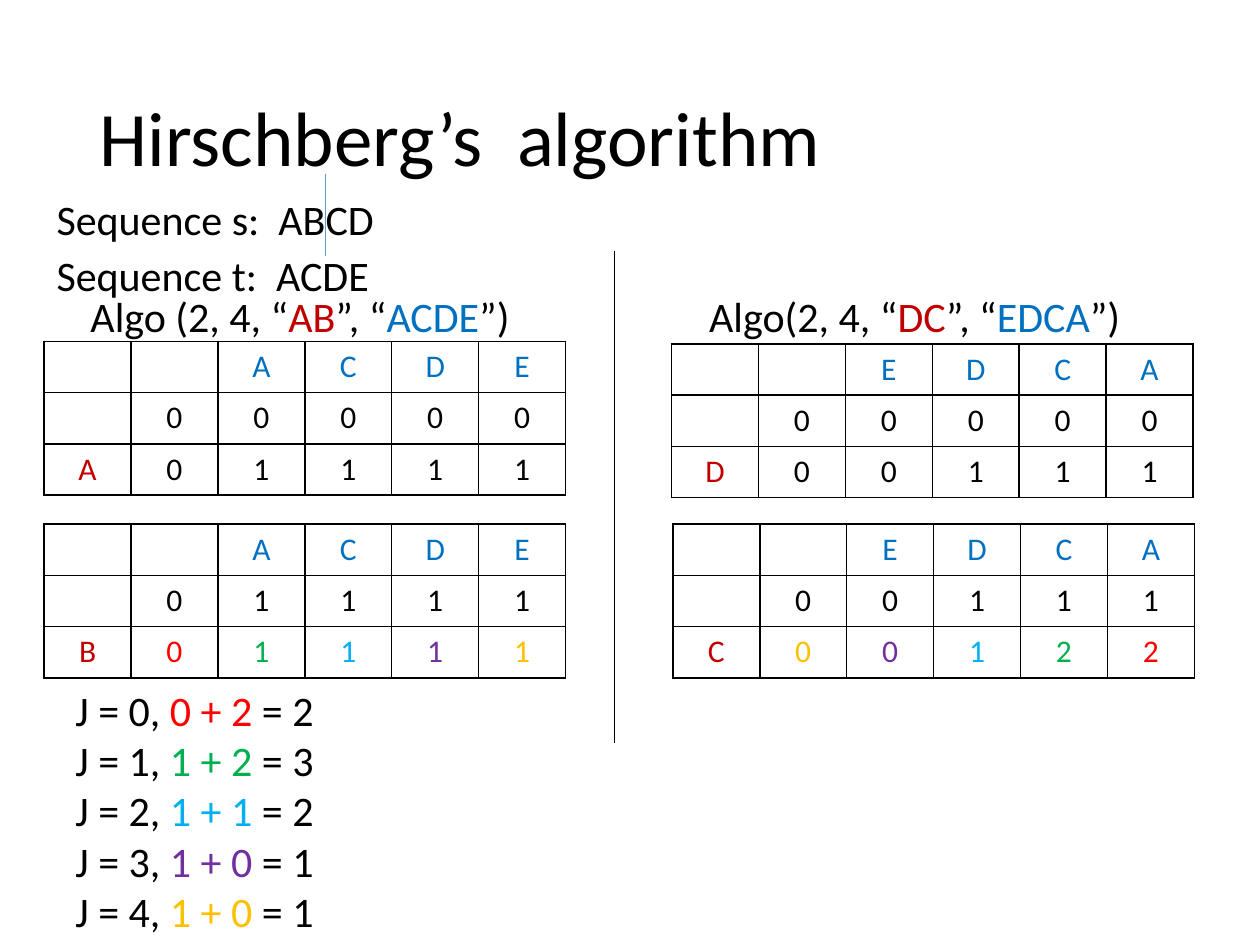
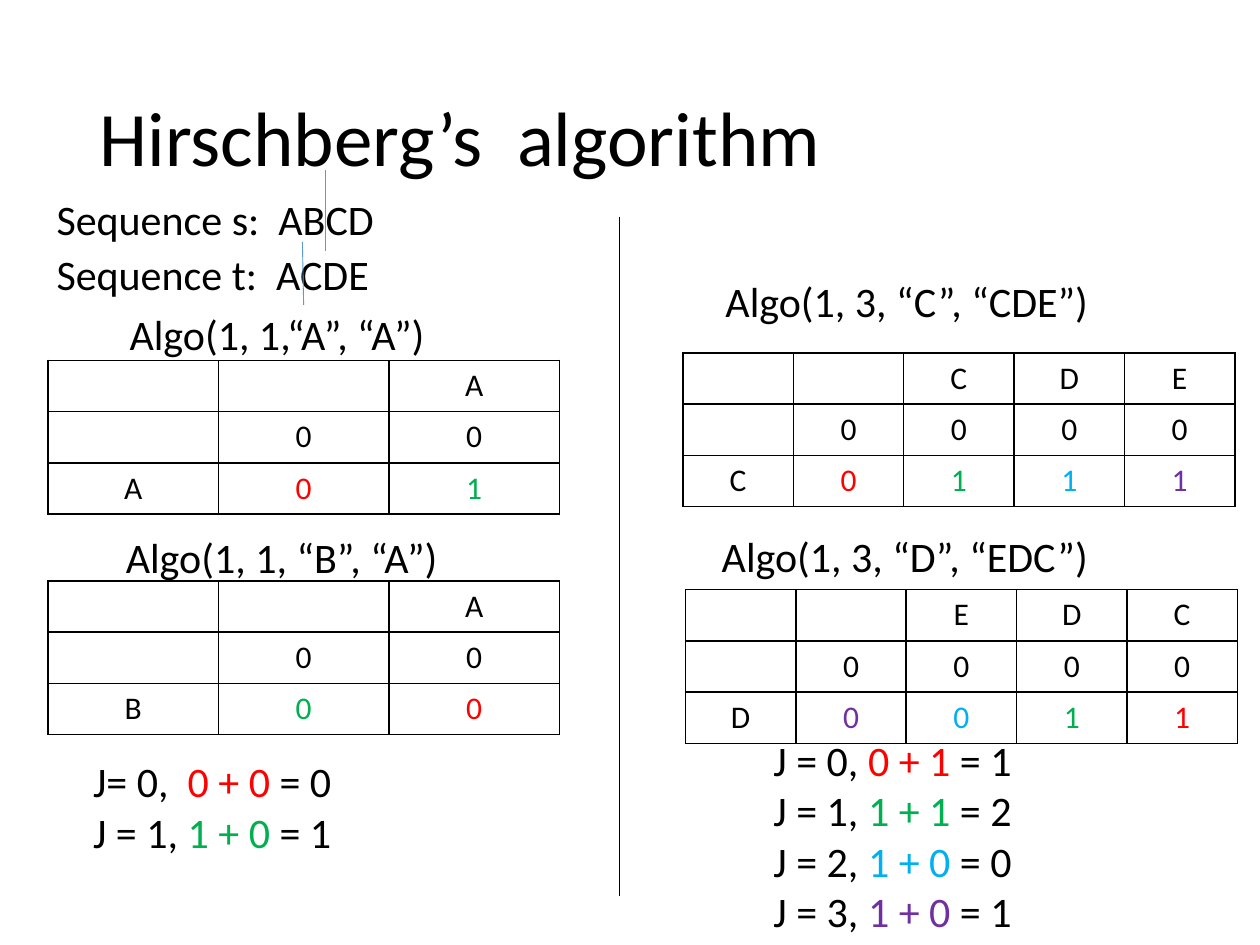
from lxml.etree import SubElement
from pptx import Presentation
from pptx.dml.color import RGBColor
from pptx.enum.shapes import MSO_CONNECTOR
from pptx.enum.text import MSO_ANCHOR, PP_ALIGN
from pptx.oxml import parse_xml
from pptx.oxml.ns import nsdecls, qn
from pptx.util import Inches, Pt

COLORS = {
    "black": "000000",
    "white": "FFFFFF",
    "header": "0070C0",
    "label": "C00000",
    "marker": "5B9BD5",
    "red": "FF0000",
    "green": "00B050",
    "sky": "00B0F0",
    "purple": "7030A0",
    "gold": "FFC000",
}
STEPS = ["red", "green", "sky", "purple", "gold"]
GRID_COLUMNS, GRID_ROWS = 100, 75


def color(name):
    return RGBColor.from_string(COLORS[name])


class Deck:
    font = "Calibri"
    title_size, body_size, cell_size = 44, 24, 18
    row_height = 4.07

    def __init__(self):
        self.presentation = Presentation()
        self.presentation.slide_width = Inches(10)
        self.presentation.slide_height = Inches(7.5)
        self.slide = None

    def x(self, columns):
        return int(self.presentation.slide_width * columns / GRID_COLUMNS)

    def y(self, rows):
        return int(self.presentation.slide_height * rows / GRID_ROWS)

    def box(self, left, top, width, height):
        return self.x(left), self.y(top), self.x(width), self.y(height)

    def style(self, paragraph, size, name="black"):
        paragraph.font.name = self.font
        paragraph.font.size = Pt(size)
        paragraph.font.bold = False
        paragraph.font.color.rgb = color(name)

    def add_slide(self, title):
        self.slide = self.presentation.slides.add_slide(self.presentation.slide_layouts[5])
        shape = self.slide.shapes.title
        shape.left, shape.top, shape.width, shape.height = self.box(6.9, 4, 86.2, 14.5)
        shape.text_frame.text = title
        shape.text_frame.vertical_anchor = MSO_ANCHOR.MIDDLE
        paragraph = shape.text_frame.paragraphs[0]
        paragraph.alignment = PP_ALIGN.LEFT
        paragraph.line_spacing = 0.9
        self.style(paragraph, self.title_size)

    def text(self, left, top, width, lines, wrap=False):
        height = 1 + 4.04 * len(lines)
        shape = self.slide.shapes.add_textbox(*self.box(left, top, width, height))
        frame = shape.text_frame
        frame.word_wrap = wrap
        for index, pieces in enumerate(lines):
            paragraph = frame.add_paragraph() if index else frame.paragraphs[0]
            self.style(paragraph, self.body_size)
            for words, name in pieces:
                run = paragraph.add_run()
                run.text = words
                if name != "black":
                    run.font.color.rgb = color(name)

    def caption(self, left, top, width, words, wrap=False):
        self.text(left, top, width, [[(words, "black")]], wrap)

    def call(self, left, top, width, opening, first, second):
        self.text(left, top, width, [[
            (opening, "black"), (first, "label"), ("”, “", "black"),
            (second, "header"), ("”)", "black"),
        ]])

    def sums(self, left, top, equations):
        self.text(left, top, 21.1, [
            [(lead, "black"), (f"{total} ", step), (f"= {result}", "black")]
            for (lead, total, result), step in zip(equations, STEPS)
        ])

    def line(self, start, end, name="black"):
        connector = self.slide.shapes.add_connector(
            MSO_CONNECTOR.STRAIGHT,
            self.x(start[0]), self.y(start[1]), self.x(end[0]), self.y(end[1]))
        connector.line.color.rgb = color(name)
        connector.line.width = Pt(0.5)
        SubElement(connector._element.spPr, qn("a:effectLst"))

    def cell(self, cell, value, name, filled):
        cell.text = value
        paragraph = cell.text_frame.paragraphs[0]
        paragraph.alignment = PP_ALIGN.CENTER
        self.style(paragraph, self.cell_size, name)
        properties = cell._tc.get_or_add_tcPr()
        for side in ("lnL", "lnR", "lnT", "lnB"):
            properties.append(parse_xml(
                f'<a:{side} {nsdecls("a")} w="{Pt(1)}"><a:solidFill>'
                f'<a:srgbClr val="{COLORS["black"]}"/></a:solidFill></a:{side}>'))
        if filled:
            cell.fill.solid()
            cell.fill.fore_color.rgb = color("white")
        else:
            cell.fill.background()

    def score_table(self, left, top, width, letters, label, previous, current,
                    steps=None, header_color="black", label_color="black"):
        rows = [["", "", *letters], ["", *previous], [label, *current]]
        table = self.slide.shapes.add_table(
            len(rows), len(rows[0]),
            *self.box(left, top, width, self.row_height * len(rows))).table
        table.first_row = table.horz_banding = False
        plain = ["black"] * len(current)
        names = [
            [header_color] * len(rows[0]),
            ["black", *plain],
            [label_color, *(steps or plain)],
        ]
        for row, values in enumerate(rows):
            for column, value in enumerate(values):
                self.cell(table.cell(row, column), value, names[row][column],
                          row > 0 and column > 0)

    def sequences(self, second_top):
        self.caption(3.5, 14.9, 32.5, "Sequence s:  ABCD", wrap=True)
        self.caption(3.5, second_top, 33.8, "Sequence t:  ACDE", wrap=True)


def first_split(deck):
    deck.add_slide("Hirschberg’s  algorithm")
    tinted = {"header_color": "header", "label_color": "label"}
    for left, top, letters, label, previous, current, steps in [
        (3.5, 27.1, "ACDE", "A", "00000", "01111", None),
        (3.5, 41.6, "ACDE", "B", "01111", "01111", STEPS),
        (53.3, 27.3, "EDCA", "D", "00000", "00111", None),
        (53.4, 41.6, "EDCA", "C", "00111", "00122", STEPS[::-1]),
    ]:
        deck.score_table(left, top, 41.4, letters, label, previous, current, steps, **tinted)
    deck.line((48.8, 19.9), (48.8, 59))
    deck.sequences(19.3)
    deck.sums(5, 53.8, [
        ("J = 0, ", "0 + 2", 2),
        ("J = 1, ", "1 + 2", 3),
        ("J = 2, ", "1 + 1", 2),
        ("J = 3, ", "1 + 0", 1),
        ("J = 4, ", "1 + 0", 1),
    ])
    deck.line((25.8, 13.8), (25.8, 20.3), "marker")
    deck.call(6.2, 22.6, 36, "Algo (2, 4, “", "AB", "ACDE")
    deck.call(55.3, 22.6, 34.9, "Algo(2, 4, “", "DC", "EDCA")


def second_split(deck):
    deck.add_slide("Hirschberg’s  algorithm")
    for left, top, width, letters, label, current, steps in [
        (3.8, 28.6, 40.6, "A", "A", "01", STEPS[:2]),
        (3.8, 46.1, 40.6, "A", "B", "00", STEPS[1::-1]),
        (54.2, 28, 43.8, "CDE", "C", "0111", STEPS[:4]),
        (54.4, 46.8, 43.8, "EDC", "D", "0011", STEPS[3::-1]),
    ]:
        deck.score_table(left, top, width, letters, label, "0" * len(current), current, steps)
    deck.line((49.2, 17.2), (49.2, 71.1))
    deck.sequences(19.2)
    deck.line((25.8, 13.5), (25.8, 19.9), "marker")
    deck.line((24, 19.2), (24.1, 24.2), "marker")
    deck.sums(6.4, 59.5, [("J= 0,  ", "0 + 0", 0), ("J = 1, ", "1 + 0", 1)])
    deck.sums(60.4, 57.8, [
        ("J = 0, ", "0 + 1", 1),
        ("J = 1, ", "1 + 1", 2),
        ("J = 2, ", "1 + 0", 0),
        ("J = 3, ", "1 + 0", 1),
    ])
    for left, top, width, words in [
        (9.3, 24, 25.6, "Algo(1, 1,“A”, “A”)"),
        (9, 41.7, 26.9, "Algo(1, 1, “B”, “A”)"),
        (56.6, 21.4, 31, "Algo(1, 3, “C”, “CDE”)"),
        (56.3, 41.6, 31.3, "Algo(1, 3, “D”, “EDC”)"),
    ]:
        deck.caption(left, top, width, words)


def main():
    deck = Deck()
    first_split(deck)
    second_split(deck)
    deck.presentation.save("out.pptx")


if __name__ == "__main__":
    main()
